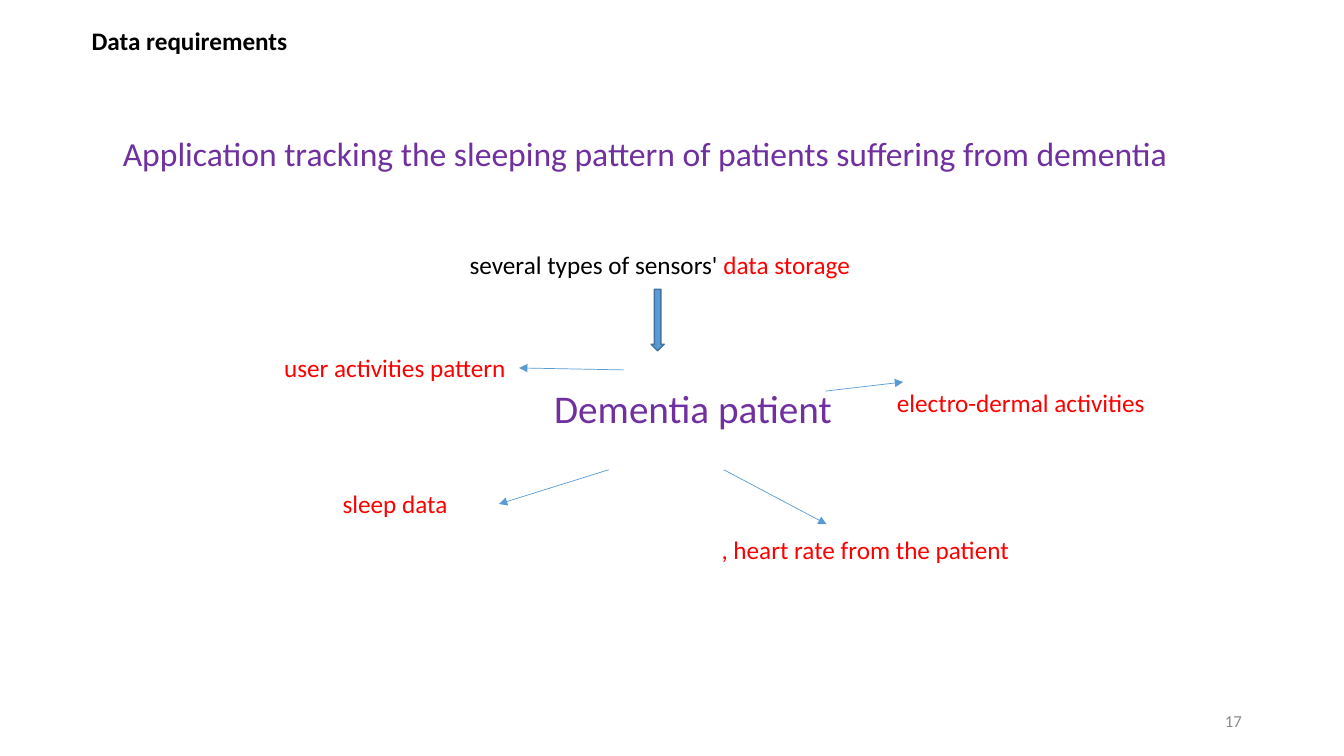
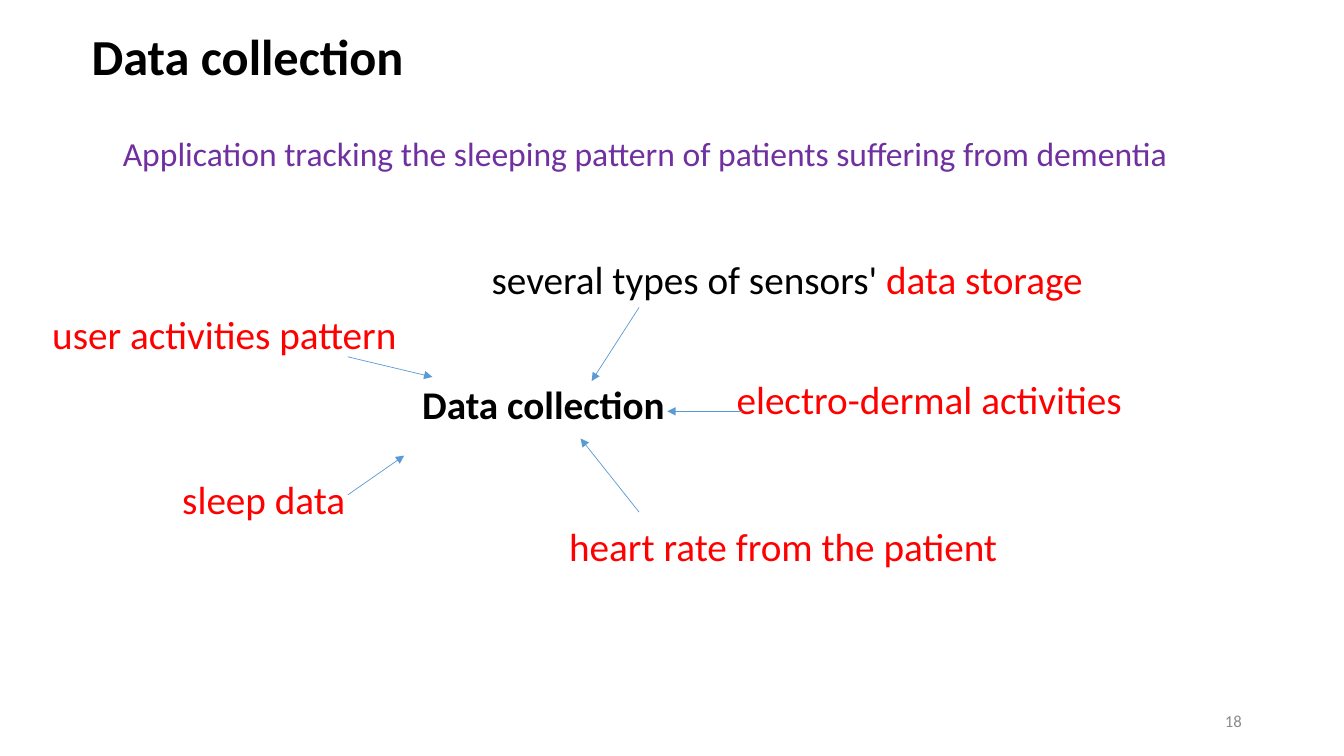
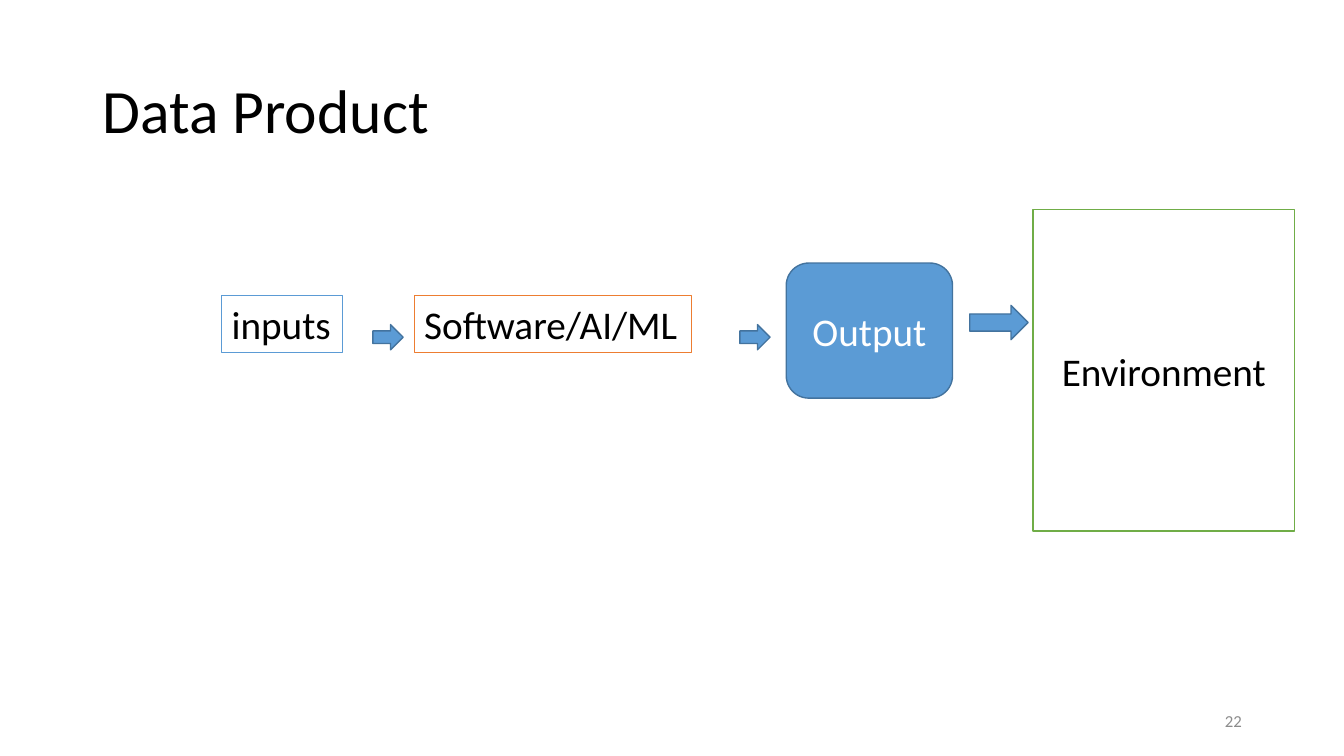
from dataclasses import dataclass

import lxml.etree
import pptx
import pptx.dml.color
import pptx.enum.shapes
import pptx.enum.text
import pptx.oxml.ns
import pptx.util

RGBColor = pptx.dml.color.RGBColor
Shape = pptx.enum.shapes.MSO_SHAPE
Anchor = pptx.enum.text.MSO_ANCHOR
Align = pptx.enum.text.PP_ALIGN

# Shared look
FONT = "Calibri"
BLACK = RGBColor(0x00, 0x00, 0x00)
WHITE = RGBColor(0xFF, 0xFF, 0xFF)
RED = RGBColor(0xFF, 0x00, 0x00)
PURPLE = RGBColor(0x70, 0x30, 0xA0)
GRAY = RGBColor(0x8C, 0x8C, 0x8C)
BLUE = RGBColor(0x5B, 0x9B, 0xD5)
DARK_BLUE = RGBColor(0x43, 0x73, 0x9E)
ORANGE = RGBColor(0xED, 0x7D, 0x31)
GREEN = RGBColor(0x70, 0xAD, 0x47)

# The slide is a grid of 40 by 22.5 square cells
CELL = pptx.util.Inches(1) / 3
COLUMNS, ROWS = 40, 22.5
TOP, BOTTOM, RIGHT = 0, 2, 3  # connection sites


@dataclass(frozen=True)
class Box:
    column: float
    row: float
    columns: float
    rows: float


@dataclass(frozen=True)
class Run:
    text: str
    color: RGBColor = RED
    bold: bool = False


@dataclass(frozen=True)
class Label:
    box: Box
    runs: tuple[Run, ...]
    size: float
    wrap: bool = False
    anchor: Anchor = Anchor.TOP
    align: Align = Align.LEFT
    line_spacing: float = 1.0
    space_before: float = 0


@dataclass(frozen=True)
class Block:
    kind: Shape
    box: Box
    fill: RGBColor = BLUE
    line: RGBColor = DARK_BLUE
    label: Label | None = None


@dataclass(frozen=True)
class Site:
    """Middle of one side of a label, named by its key."""
    key: str
    side: int


Point = tuple[float, float]


@dataclass(frozen=True)
class Arrow:
    start: Point | Site
    end: Point | Site


@dataclass(frozen=True)
class Diagram:
    number: int
    labels: dict[str, Label]
    arrows: tuple[Arrow, ...]
    blocks: tuple[Block, ...] = ()


# Drawing
def cells(*lengths: float) -> list[int]:
    return [pptx.util.Emu(round(length * CELL)) for length in lengths]


def place(box: Box) -> list[int]:
    return cells(box.column, box.row, box.columns, box.rows)


def write_label(shape, label: Label) -> None:
    frame = shape.text_frame
    frame.word_wrap = label.wrap
    frame.vertical_anchor = label.anchor
    if not label.wrap:
        frame.auto_size = pptx.enum.text.MSO_AUTO_SIZE.SHAPE_TO_FIT_TEXT
    paragraph = frame.paragraphs[0]
    paragraph.alignment = label.align
    paragraph.line_spacing = label.line_spacing
    paragraph.space_before = pptx.util.Pt(label.space_before)
    for part in label.runs:
        run = paragraph.add_run()
        run.text = part.text
        run.font.name = FONT
        run.font.size = pptx.util.Pt(label.size)
        run.font.bold = part.bold
        run.font.color.rgb = part.color


def draw_label(slide, label: Label):
    shape = slide.shapes.add_textbox(*place(label.box))
    write_label(shape, label)
    return shape


def draw_block(slide, block: Block) -> None:
    shape = slide.shapes.add_shape(block.kind, *place(block.box))
    shape.shadow.inherit = False
    shape.fill.solid()
    shape.fill.fore_color.rgb = block.fill
    shape.line.color.rgb = block.line
    shape.line.width = pptx.util.Pt(1)
    if block.label:
        write_label(shape, block.label)


def draw_arrow(slide, arrow: Arrow, shapes: dict) -> None:
    ends = [(0, 0) if isinstance(end, Site) else end for end in (arrow.start, arrow.end)]
    connector = slide.shapes.add_connector(
        pptx.enum.shapes.MSO_CONNECTOR.STRAIGHT, *cells(*ends[0], *ends[1]))
    if isinstance(arrow.start, Site):
        connector.begin_connect(shapes[arrow.start.key], arrow.start.side)
    if isinstance(arrow.end, Site):
        connector.end_connect(shapes[arrow.end.key], arrow.end.side)
    connector.line.color.rgb = BLUE
    connector.line.width = pptx.util.Pt(0.5)
    qualify = pptx.oxml.ns.qn
    lxml.etree.SubElement(connector.line._get_or_add_ln(), qualify("a:tailEnd"), type="triangle")
    lxml.etree.SubElement(connector._element.spPr, qualify("a:effectLst"))


def draw_diagram(presentation, diagram: Diagram) -> None:
    slide = presentation.slides.add_slide(presentation.slide_layouts[6])
    shapes = {key: draw_label(slide, label) for key, label in diagram.labels.items()}
    for block in diagram.blocks:
        draw_block(slide, block)
    for arrow in diagram.arrows:
        draw_arrow(slide, arrow, shapes)
    draw_label(slide, Label(Box(28.26, 20.85, 9, 1.2), (Run(str(diagram.number), GRAY),), 12,
                            wrap=True, anchor=Anchor.MIDDLE, align=Align.RIGHT))


# Text styles
def title(box: Box, text: str, size: float, color: RGBColor) -> Label:
    return Label(box, (Run(text, color),), size, wrap=True, anchor=Anchor.MIDDLE,
                 line_spacing=0.9)


def center(column: float, row: float, run: Run) -> Label:
    return Label(Box(column, row, 10.68, 2.52), (run,), 28, wrap=True,
                 line_spacing=0.9, space_before=10)


def heading(text: str, size: float, columns: float, rows: float) -> Label:
    return Label(Box(2.43, 0.6, columns, rows), (Run(text, BLACK, True),), size)


def centered(text: str, color: RGBColor) -> Label:
    return Label(Box(0, 0, 0, 0), (Run(text, color),), 28, wrap=True,
                 anchor=Anchor.MIDDLE, align=Align.CENTER)


def framed(box: Box, text: str, line: RGBColor) -> Block:
    return Block(Shape.RECTANGLE, box, WHITE, line, Label(box, (Run(text, BLACK),), 28))


# Content
TOPIC = title(Box(3.36, 3.54, 34.5, 2.16),
              "Application tracking the sleeping pattern of patients suffering from dementia",
              24, PURPLE)
STORAGE = (Run("several types of sensors' ", BLACK), Run("data storage"))
SLEEP = (Run("sleep data"),)
DERMAL = (Run("electro-dermal activities"),)
ACTIVITIES = (Run("user activities pattern"),)

REQUIREMENTS = Diagram(
    17,
    {
        "topic": TOPIC,
        "center": center(16.2, 11.46, Run("Dementia patient", PURPLE)),
        "storage": Label(Box(13.68, 7.26, 20, 1.2), STORAGE, 18),
        "sleep": Label(Box(9.9, 14.4, 3.78, 1.2), SLEEP, 18),
        "heart": Label(Box(21.18, 15.75, 9.27, 1.2),
                       (Run(", heart rate from the patient"),), 18),
        "dermal": Label(Box(26.4, 11.37, 8.07, 1.2), DERMAL, 18),
        "activities": Label(Box(8.16, 10.35, 7.29, 1.2), ACTIVITIES, 18),
        "heading": heading("Data requirements", 18, 6.48, 1.2),
    },
    (
        Arrow((18.57, 11.01), Site("activities", RIGHT)),
        Arrow((18.12, 13.98), (14.85, 15)),
        Arrow(Site("center", BOTTOM), (24.6, 15.6)),
        Arrow((24.57, 11.64), (26.88, 11.37)),
    ),
    (Block(Shape.DOWN_ARROW, Box(19.38, 8.61, 0.39, 1.83)),),
)
# The storage line is narrower than its box, so it wraps to stay at the left
REQUIREMENTS.labels["storage"] = Label(Box(13.68, 7.26, 20, 1.2), STORAGE, 18, wrap=True)

COLLECTION = Diagram(
    18,
    {
        "topic": TOPIC,
        "center": center(12.27, 11.34, Run("Data collection", BLACK, True)),
        "sleep": Label(Box(5.13, 14.01, 5.52, 1.71), SLEEP, 28),
        "heart": Label(Box(16.38, 15.39, 13.74, 1.71),
                       (Run(" heart rate from the patient"),), 28),
        "dermal": Label(Box(21.63, 11.01, 12.21, 1.71), DERMAL, 28),
        "activities": Label(Box(1.26, 9.09, 11.01, 1.71), ACTIVITIES, 28),
        "heading": heading("Data collection", 36, 10.35, 2.13),
        "storage": Label(Box(14.34, 7.44, 18.39, 1.71), STORAGE, 28),
    },
    (
        Arrow((10.35, 10.62), (12.87, 11.22)),
        Arrow((10.35, 14.73), (12.03, 13.56)),
        Arrow((19.02, 15.24), (17.28, 13.05)),
        Arrow((22.08, 12.24), (19.86, 12.24)),
        Arrow((19.02, 9.15), Site("center", TOP)),
    ),
)

PRODUCT = Diagram(
    22,
    {"title": title(Box(2.76, 1.2, 34.5, 4.35), "Data Product", 44, BLACK)},
    (),
    (
        framed(Box(6.6, 8.79, 3.6, 1.71), "inputs", BLUE),
        Block(Shape.RIGHT_ARROW, Box(11.1, 9.66, 0.9, 0.75)),
        framed(Box(12.33, 8.79, 8.25, 1.71), "Software/AI/ML", ORANGE),
        Block(Shape.RIGHT_ARROW, Box(22.02, 9.66, 0.9, 0.75)),
        Block(Shape.ROUNDED_RECTANGLE, Box(23.4, 7.83, 4.95, 4.02),
              label=centered("Output", WHITE)),
        Block(Shape.RIGHT_ARROW, Box(28.86, 9.09, 1.74, 1.02)),
        Block(Shape.RECTANGLE, Box(30.75, 6.24, 7.77, 9.57), WHITE, GREEN,
              centered("Environment", BLACK)),
    ),
)


def main() -> None:
    presentation = pptx.Presentation()
    presentation.slide_width, presentation.slide_height = cells(COLUMNS, ROWS)
    for diagram in (REQUIREMENTS, COLLECTION, PRODUCT):
        draw_diagram(presentation, diagram)
    presentation.save("out.pptx")


if __name__ == "__main__":
    main()
